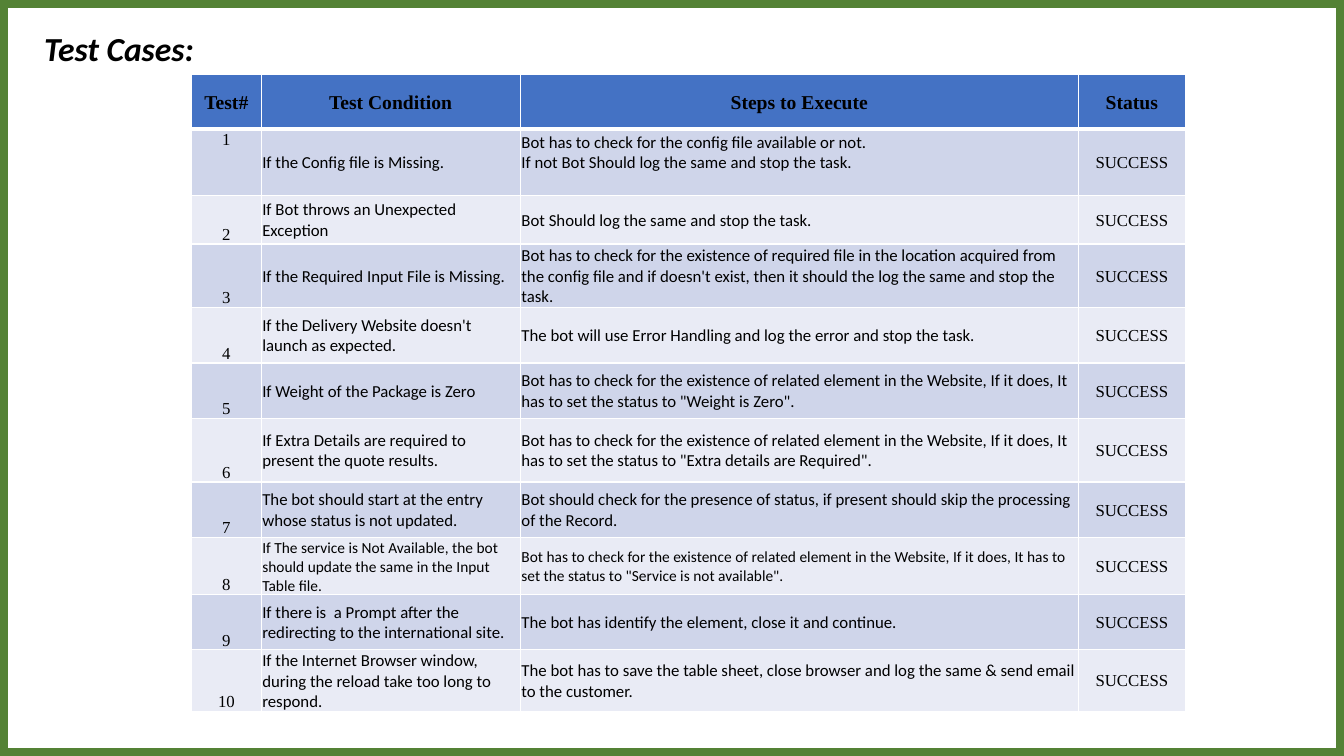
from lxml import etree
from pptx import Presentation
from pptx.dml.color import RGBColor
from pptx.enum.shapes import MSO_SHAPE
from pptx.enum.text import MSO_ANCHOR, MSO_AUTO_SIZE, PP_ALIGN
from pptx.oxml.ns import qn
from pptx.util import Cm, Pt

RECT = MSO_SHAPE.RECTANGLE
LEFT, CENTER = PP_ALIGN.LEFT, PP_ALIGN.CENTER
TOP, MIDDLE, BOTTOM = MSO_ANCHOR.TOP, MSO_ANCHOR.MIDDLE, MSO_ANCHOR.BOTTOM
GROW = MSO_AUTO_SIZE.SHAPE_TO_FIT_TEXT
SANS, SERIF = "Calibri", "Times New Roman"
COLORS = {"white": "FFFFFF", "black": "000000", "gray": "AFABAB", "green": "548235",
          "head": "4472C4", "odd": "CFD5EA", "even": "E9EBF5"}
WIDE, HIGH = 33.87, 19.05

HEADS = ["Test#", "Test Condition", "Steps to Execute", "Status"]
CHECK = "Bot has to check for the existence of "
STATE = CHECK + "related element in the Website, If it does, It has to set the status to "
CASES = [
    ("If the Config file is Missing.",
     "Bot has to check for the config file available or not.\v"
     "If not Bot Should log the same and stop the task."),
    ("If Bot throws an Unexpected Exception", "Bot Should log the same and stop the task."),
    ("If the Required Input File is Missing.",
     CHECK + "required file in the location acquired from the config file and if "
     "doesn't exist, then it should the log the same and stop the task."),
    ("If the Delivery Website doesn't launch as expected.",
     "The bot will use Error Handling and log the error and stop the task."),
    ("If Weight of the Package is Zero", STATE + '"Weight is Zero".'),
    ("If Extra Details are required to present the quote results.",
     STATE + '"Extra details are Required".'),
    ("The bot should start at the entry whose status is not updated.",
     "Bot should check for the presence of status, if present should skip the "
     "processing of the Record."),
    ("If The service is Not Available, the bot should update the same in the Input Table file.",
     STATE + '"Service is not available".'),
    ("If there is  a Prompt after the redirecting to the international site.",
     "The bot has identify the element, close it and continue."),
    ("If the Internet Browser window, during the reload take too long to respond.",
     "The bot has to save the table sheet, close browser and log the same & send "
     "email to the customer."),
]
COLS = [1.75, 6.53, 14.07, 2.69]
ROWS = [1.37, 1.68, 1.22, 1.6, 1.4, 1.4, 1.6, 1.4, 1.37, 1.4, 1.4]


def color(name):
    return RGBColor.from_string(COLORS[name])


def write(frame, text, size=12, font=SANS, bold=False, italic=False, align=LEFT):
    para = frame.paragraphs[0]
    para.text = text
    para.alignment = align
    for run in para.runs:
        run.font.size = Pt(size)
        run.font.name = font
        run.font.bold = bold
        run.font.italic = italic
        run.font.color.rgb = color("black")


def fade(fill, percent):
    tint = fill.find(".//" + qn("a:srgbClr"))
    etree.SubElement(tint, qn("a:alpha"), val=str(percent * 1000))


class Deck:
    def __init__(self):
        self.show = Presentation()
        self.show.slide_width, self.show.slide_height = Cm(WIDE), Cm(HIGH)
        self.slide = self.show.slides.add_slide(self.show.slide_layouts[6])

    def panel(self, group, line, width, fill=None):
        box = group.shapes.add_shape(RECT, 0, 0, Cm(WIDE), Cm(HIGH))
        box.shadow.inherit = False
        box.line.color.rgb = color(line)
        box.line.width = Pt(width)
        if fill:
            box.fill.solid()
            box.fill.fore_color.rgb = color(fill)
        else:
            box.fill.background()
        return box

    def frame(self):
        group = self.slide.shapes.add_group_shape()
        base = self.panel(group, "gray", 1, "white")
        props = base.element.spPr
        fade(props.find(qn("a:solidFill")), 65)
        fade(props.find(qn("a:ln")), 83)
        self.panel(group, "green", 12)

    def title(self, text, x, y, w, h):
        frame = self.slide.shapes.add_textbox(Cm(x), Cm(y), Cm(w), Cm(h)).text_frame
        frame.word_wrap = True
        frame.auto_size = GROW
        write(frame, text, size=24, bold=True, italic=True)

    def border(self, cell, row):
        props = cell._tc.get_or_add_tcPr()
        thick = {"T": row == 1, "B": row == 0}
        for spot, side in enumerate("LRTB"):
            width = Pt(3 if thick.get(side) else 1)
            line = etree.Element(qn("a:ln" + side), w=str(width))
            fill = etree.SubElement(line, qn("a:solidFill"))
            etree.SubElement(fill, qn("a:srgbClr"), val=COLORS["white"])
            props.insert(spot, line)

    def cell(self, cell, row, text, fill, anchor=MIDDLE, **style):
        cell.margin_left = cell.margin_right = cell.margin_top = Cm(0.03)
        cell.margin_bottom = 0
        cell.vertical_anchor = anchor
        cell.fill.solid()
        cell.fill.fore_color.rgb = color(fill)
        write(cell.text_frame, text, **style)
        self.border(cell, row)

    def table(self, x, y):
        grid = self.slide.shapes.add_table(len(ROWS), len(COLS), Cm(x), Cm(y),
                                           Cm(sum(COLS)), Cm(sum(ROWS))).table
        for col, width in zip(grid.columns, COLS):
            col.width = Cm(width)
        for row, height in zip(grid.rows, ROWS):
            row.height = Cm(height)
        # Header
        for col, text in enumerate(HEADS):
            self.cell(grid.cell(0, col), 0, text, "head",
                      size=14, font=SERIF, bold=True, align=CENTER)
        # Test cases
        for row, (test, steps) in enumerate(CASES, 1):
            fill = "odd" if row % 2 else "even"
            size = 11 if row == 8 else 12
            self.cell(grid.cell(row, 0), row, str(row), fill,
                      anchor=TOP if row == 1 else BOTTOM, font=SERIF, align=CENTER)
            self.cell(grid.cell(row, 1), row, test, fill,
                      anchor=TOP if row == 8 else MIDDLE, size=size)
            self.cell(grid.cell(row, 2), row, steps, fill, size=size)
            self.cell(grid.cell(row, 3), row, "SUCCESS", fill, font=SERIF, align=CENTER)
        # Room below the first steps
        grid.cell(1, 2).margin_bottom = Cm(0.52)


def main():
    deck = Deck()
    deck.frame()
    deck.title("Test Cases:", 0.86, 0.58, 5.89, 1.27)
    deck.table(4.83, 1.88)
    deck.show.save("out.pptx")


if __name__ == "__main__":
    main()
